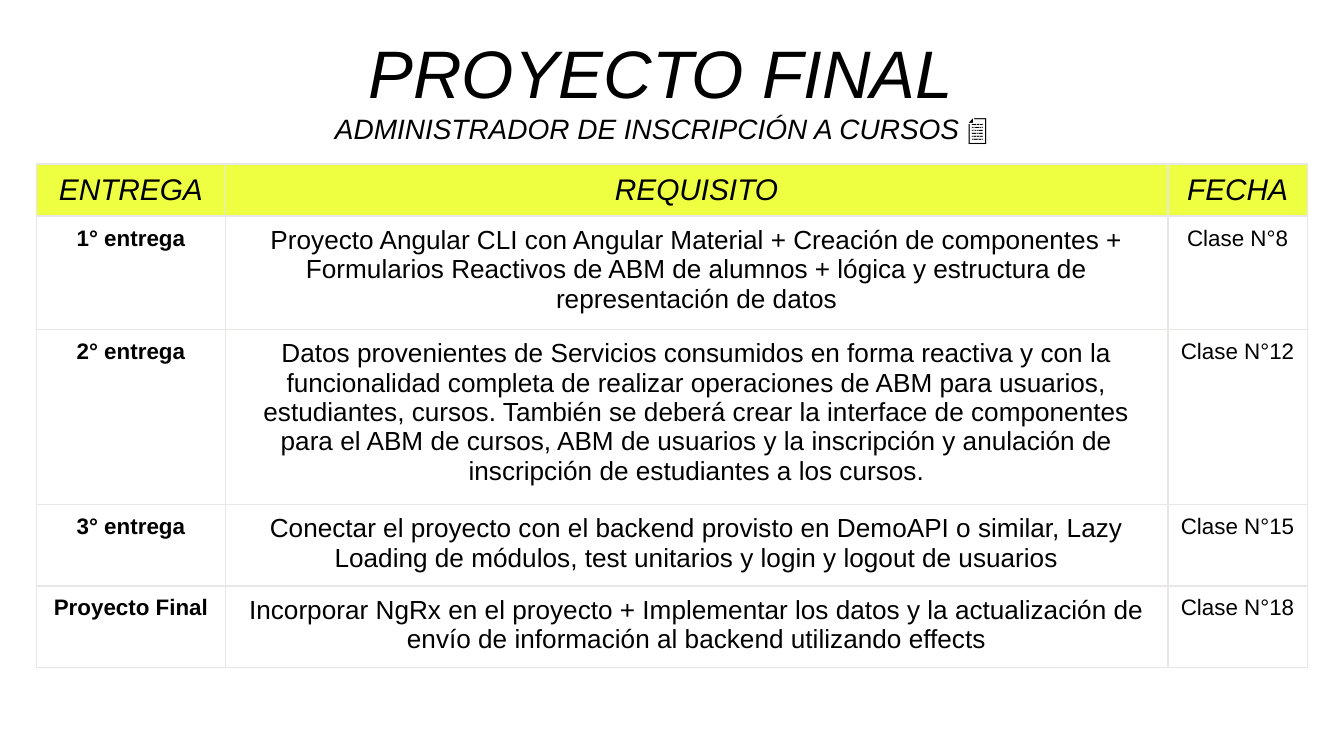
from pptx import Presentation
from pptx.dml.color import RGBColor as RGB
from pptx.enum.text import MSO_ANCHOR as Anchor, PP_ALIGN as Align
from pptx.oxml import parse_xml
from pptx.oxml.ns import nsdecls
from pptx.util import Cm, Pt

hues = {"ink": "000000", "head": "EEFF41", "edge": "E8E7E3"}


def style(para, size, bold=False, slant=False):
    para.alignment = Align.CENTER
    font = para.font
    font.name, font.size = "Arial", Pt(size)
    font.bold, font.italic = bold, slant
    font.color.rgb = RGB.from_string(hues["ink"])


def frame(cell):
    props = cell._tc.get_or_add_tcPr()
    for spot, side in enumerate(("lnL", "lnR", "lnT", "lnB")):
        props.insert(spot, parse_xml(
            f'<a:{side} {nsdecls("a")} w="{Pt(1)}"><a:solidFill>'
            f'<a:srgbClr val="{hues["edge"]}"/></a:solidFill></a:{side}>'))


deck = Presentation()
deck.slide_width, deck.slide_height = Cm(25.4), Cm(14.29)
slide = deck.slides.add_slide(deck.slide_layouts[6])

# Table of deliveries
rows = [
    ("ENTREGA", "REQUISITO", "FECHA"),
    ("1° entrega",
     "Proyecto Angular CLI con Angular Material + Creación de componentes + "
     "Formularios Reactivos de ABM de alumnos + lógica y estructura de "
     "representación de datos", "Clase N°8"),
    ("2° entrega",
     "Datos provenientes de Servicios consumidos en forma reactiva y con la "
     "funcionalidad completa de realizar operaciones de ABM para usuarios, "
     "estudiantes, cursos. También se deberá crear la interface de componentes "
     "para el ABM de cursos, ABM de usuarios y la inscripción y anulación de "
     "inscripción de estudiantes a los cursos.", "Clase N°12"),
    ("3° entrega",
     "Conectar el proyecto con el backend provisto en DemoAPI o similar, Lazy "
     "Loading de módulos, test unitarios y login y logout de usuarios",
     "Clase N°15"),
    ("Proyecto Final",
     "Incorporar NgRx en el proyecto + Implementar los datos y la actualización "
     "de envío de información al backend utilizando effects", "Clase N°18"),
]
wide = [3.57, 17.81, 2.64]
high = [0.95, 2.14, 3.31, 1.54, 1.54]
table = slide.shapes.add_table(len(rows), len(wide), Cm(0.69), Cm(3.1),
                               Cm(sum(wide)), Cm(sum(high))).table
for col, width in zip(table.columns, wide):
    col.width = Cm(width)
for row, height in zip(table.rows, high):
    row.height = Cm(height)

for r, row in enumerate(rows):
    for c, text in enumerate(row):
        cell = table.cell(r, c)
        cell.margin_left = cell.margin_right = Cm(0.18)
        cell.margin_top = cell.margin_bottom = Cm(0.18)
        para = cell.text_frame.paragraphs[0]
        para.text = text
        if r == 0:
            cell.fill.solid()
            cell.fill.fore_color.rgb = RGB.from_string(hues["head"])
            style(para, 16, slant=True)
        else:
            cell.fill.background()
            style(para, 14 if c == 1 else 12, bold=c == 0)
        frame(cell)

# Title and subtitle
box = slide.shapes.add_textbox(Cm(4.34), Cm(0.23), Cm(16.31), Cm(2.57))
body = box.text_frame
body.word_wrap = True
body.vertical_anchor = Anchor.TOP
body.margin_left = body.margin_right = Cm(0.25)
body.margin_top, body.margin_bottom = Cm(0.36), Cm(0.25)
title = body.paragraphs[0]
title.text = "PROYECTO FINAL"
style(title, 36, slant=True)
sub = body.add_paragraph()
sub.add_run().text = "ADMINISTRADOR DE INSCRIPCIÓN A CURSOS "
icon = sub.add_run()
icon.text = "📄"
style(sub, 15, slant=True)
icon.font.italic = False

deck.save("out.pptx")
